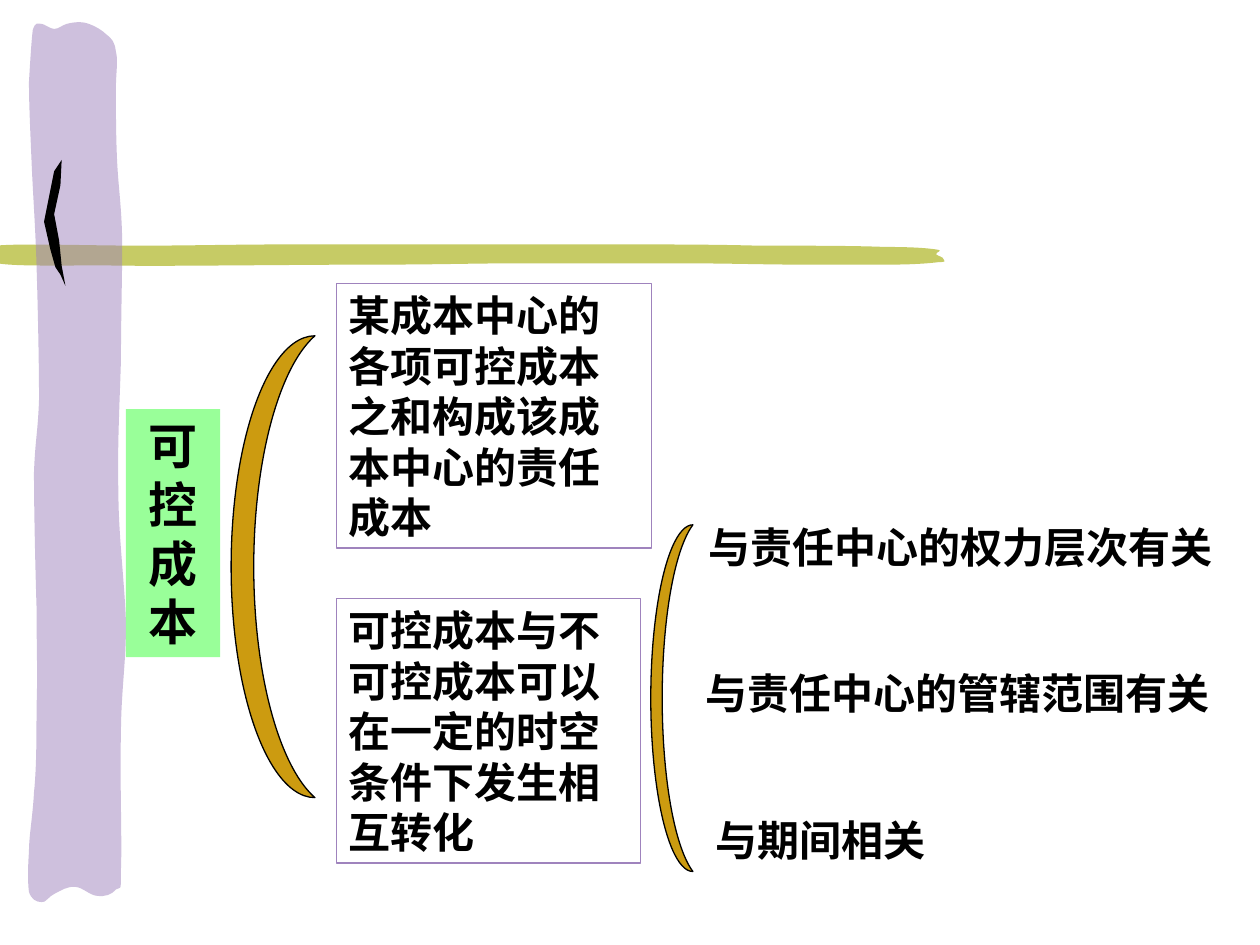
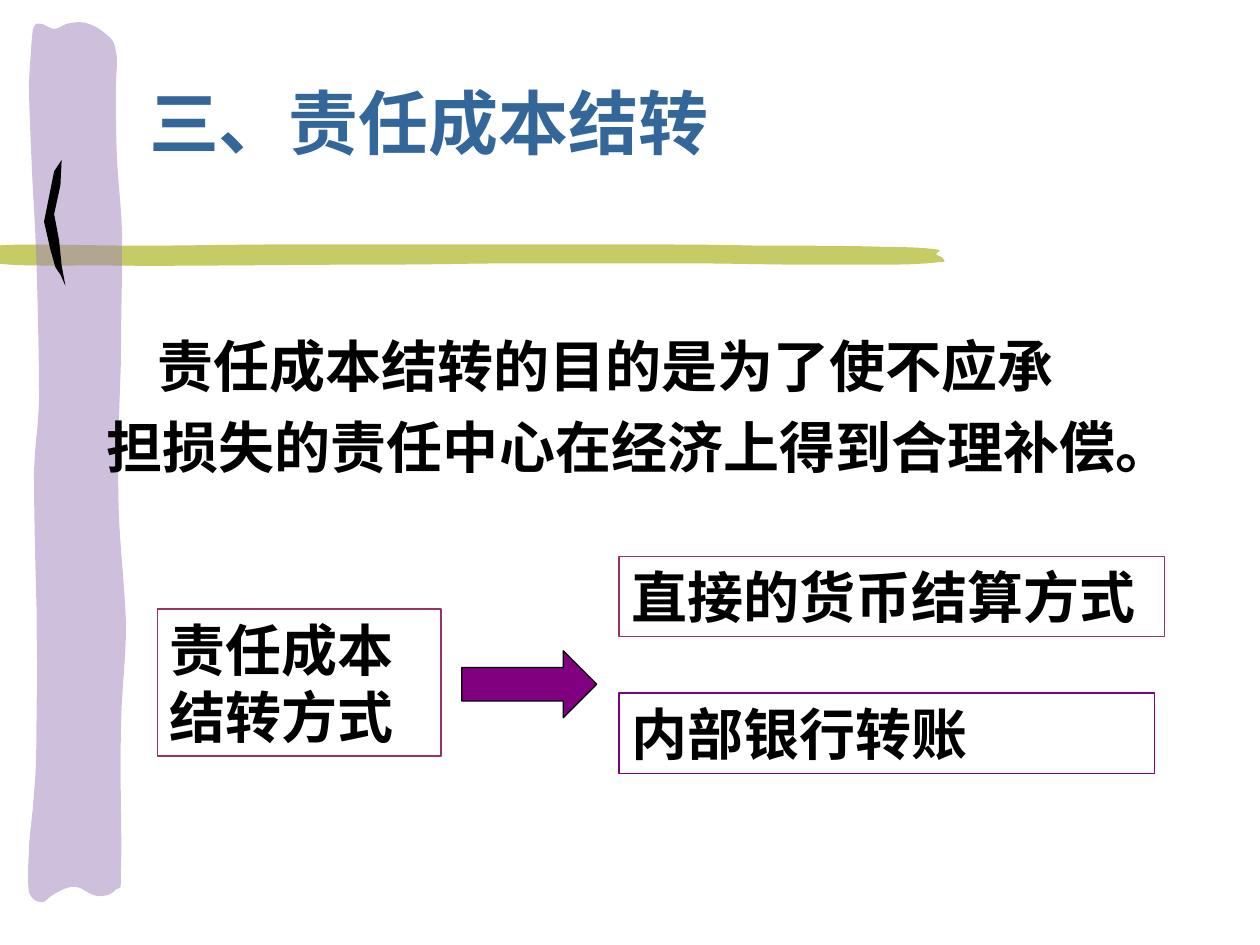
from dataclasses import dataclass

from lxml import etree
from pptx import Presentation
from pptx.dml.color import RGBColor
from pptx.enum.shapes import MSO_SHAPE
from pptx.enum.text import MSO_ANCHOR, MSO_AUTO_SIZE, PP_ALIGN
from pptx.oxml.ns import qn
from pptx.util import Cm, Pt

MOON, RIGHT_ARROW = MSO_SHAPE.MOON, MSO_SHAPE.RIGHT_ARROW
LEFT, CENTER = PP_ALIGN.LEFT, PP_ALIGN.CENTER
MIDDLE = MSO_ANCHOR.MIDDLE
FIT_SHAPE, NO_FIT = MSO_AUTO_SIZE.SHAPE_TO_FIT_TEXT, MSO_AUTO_SIZE.NONE
TITLE_AND_BODY, BLANK = 1, 6


@dataclass(frozen=True)
class Theme:
    ink: str = "000000"
    paper: str = "FFFFFF"
    title: str = "336699"
    olive: str = "C6CB65"
    lilac: str = "9F83BD"
    green: str = "99FF99"
    gold: str = "CC9B10"
    plum: str = "993366"
    purple: str = "800080"
    font: str = "Noto Sans CJK SC"
    latin_font: str = "Comic Neue"
    title_size: int = 40
    large_size: int = 32
    label_size: int = 28
    text_size: int = 24
    line_width: float = 0.75


THEME = Theme()

# Brush outlines in hundredths of an inch: a start point, then rows of
# three points for a curve or one point for a straight line
OUTLINE_UNIT = Cm(2.54) / 100
HORIZONTAL_STROKE = [
    [(601, 195)],
    [(636, 195), (678, 195), (702, 196)], [(725, 196), (736, 197), (743, 198)],
    [(750, 199), (742, 200), (743, 202)], [(744, 203), (749, 204), (749, 206)],
    [(749, 207), (752, 208), (745, 208)], [(738, 209), (724, 210), (706, 210)],
    [(688, 210), (663, 210), (635, 210)], [(608, 210), (577, 209), (541, 209)],
    [(504, 209), (455, 209), (414, 209)], [(374, 209), (349, 210), (298, 210)],
    [(248, 210), (162, 211), (111, 211)], [(61, 210), (16, 212), (-2, 209)],
    [(-3, 195)],
    [(16, 193), (72, 195), (111, 195)], [(151, 195), (185, 194), (232, 194)],
    [(278, 194), (348, 194), (391, 194)], [(434, 194), (455, 194), (489, 194)],
    [(524, 194), (566, 194), (601, 195)],
]
VERTICAL_STROKE = [
    [(29, 561)],
    [(30, 537), (29, 512), (29, 481)], [(28, 450), (27, 403), (27, 375)],
    [(28, 348), (30, 344), (31, 317)], [(31, 289), (30, 242), (29, 210)],
    [(28, 178), (26, 152), (25, 127)], [(24, 103), (23, 82), (23, 65)],
    [(24, 48), (25, 32), (26, 24)], [(28, 17), (30, 19), (33, 19)],
    [(35, 19), (40, 23), (43, 23)], [(47, 23), (49, 20), (53, 19)],
    [(57, 18), (62, 17), (67, 18)], [(72, 19), (80, 23), (84, 27)],
    [(89, 31), (91, 33), (92, 41)], [(94, 48), (92, 57), (92, 71)],
    [(92, 86), (92, 108), (93, 129)], [(94, 149), (97, 168), (97, 195)],
    [(97, 221), (96, 254), (96, 286)], [(95, 319), (93, 356), (94, 391)],
    [(94, 425), (99, 463), (100, 495)], [(100, 527), (96, 550), (96, 583)],
    [(95, 615), (97, 669), (96, 690)], [(96, 710), (96, 703), (92, 706)],
    [(89, 710), (83, 712), (77, 711)], [(72, 711), (65, 704), (60, 704)],
    [(54, 703), (48, 707), (44, 709)], [(39, 711), (36, 717), (33, 716)],
    [(29, 716), (25, 714), (23, 708)], [(22, 701), (22, 689), (23, 676)],
    [(23, 663), (26, 648), (27, 629)], [(29, 610), (29, 586), (29, 561)],
]
INK_MARK = [[point] for point in (
    (49, 127), (48, 147), (43, 170), (47, 191), (49, 211), (52, 227), (48, 218),
    (44, 212), (40, 198), (35, 176), (39, 156), (43, 136), (49, 127))]


def color(value):
    return RGBColor.from_string(value)


def cm_box(box):
    return [Cm(length) for length in box]


def paint(shape, fill=None, line=None):
    """Give a shape its fill and outline; None leaves either out."""
    if fill:
        shape.fill.solid()
        shape.fill.fore_color.rgb = color(fill)
    else:
        shape.fill.background()
    if line:
        shape.line.color.rgb = color(line)
        shape.line.width = Pt(THEME.line_width)
    else:
        shape.line.fill.background()


def style_paragraph(paragraph, size, ink=THEME.ink, font=THEME.font, align=LEFT):
    paragraph.alignment = align
    paragraph.font.size = Pt(size)
    paragraph.font.bold = True
    paragraph.font.color.rgb = color(ink)
    paragraph.font.name = font
    # East Asian typeface
    defaults = paragraph._p.get_or_add_pPr().find(qn("a:defRPr"))
    etree.SubElement(defaults, qn("a:ea"), typeface=THEME.font)


def add_text(slide, text, box, size, fill=None, line=None, **style):
    shape = slide.shapes.add_textbox(*cm_box(box))
    paint(shape, fill, line)
    frame = shape.text_frame
    frame.word_wrap = True
    frame.auto_size = FIT_SHAPE
    frame.text = text
    style_paragraph(frame.paragraphs[0], size, **style)


def add_preset(slide, kind, box, fill, adjustments):
    shape = slide.shapes.add_shape(kind, *cm_box(box))
    shape.shadow.inherit = False
    paint(shape, fill, THEME.ink)
    for index, value in enumerate(adjustments):
        shape.adjustments[index] = value


def add_bracket(slide, box):
    add_preset(slide, MOON, box, THEME.gold, [0.27])


def bend_segments(shape, segments):
    """Turn each run of three straight lines that stands for a curve into one."""
    lines = iter(list(shape.element.iter(qn("a:lnTo"))))
    for segment in segments:
        steps = [next(lines) for _ in segment]
        if len(steps) == 3:
            curve = etree.Element(qn("a:cubicBezTo"))
            steps[0].addprevious(curve)
            for step in steps:
                curve.append(step[0])
                step.getparent().remove(step)


def add_outline(slide, outline, fill, opacity=100):
    start, *points = [point for segment in outline for point in segment]
    builder = slide.shapes.build_freeform(*start, scale=OUTLINE_UNIT)
    builder.add_line_segments(points, close=True)
    shape = builder.convert_to_shape()
    bend_segments(shape, outline[1:])
    shape.shadow.inherit = False
    paint(shape, fill)
    if opacity < 100:
        fill_color = shape.element.spPr.find(qn("a:solidFill"))[0]
        etree.SubElement(fill_color, qn("a:alpha"), val=str(opacity * 1000))
    return shape


def decorate_master(presentation, slide):
    """Draw the brush strokes on a slide and move them to the slide master."""
    strokes = [
        add_outline(slide, HORIZONTAL_STROKE, THEME.olive),
        add_outline(slide, VERTICAL_STROKE, THEME.lilac, opacity=50),
        add_outline(slide, INK_MARK, THEME.ink),
    ]
    master_tree = presentation.slide_master.shapes.element
    for index, stroke in enumerate(strokes):
        stroke.element.nvSpPr.cNvPr.set("id", str(100 + index))
        master_tree.insert(2 + index, stroke.element)


def fill_placeholder(placeholder, box, lines, size, ink=THEME.ink):
    placeholder.left, placeholder.top, placeholder.width, placeholder.height = cm_box(box)
    frame = placeholder.text_frame
    frame.auto_size = NO_FIT
    frame.text = "\n".join(lines)
    for paragraph in frame.paragraphs:
        style_paragraph(paragraph, size, ink)
    return frame


def build_controllable_cost(slide):
    add_text(slide, "可控成本", (2.54, 8.25, 1.9, 5), THEME.label_size,
             fill=THEME.green, font=THEME.latin_font, align=CENTER)
    add_bracket(slide, (4.66, 6.77, 1.69, 9.31))
    # Two statements
    for text, top, width in (
            ("某成本中心的各项可控成本之和构成该成本中心的责任成本", 5.72, 6.35),
            ("可控成本与不可控成本可以在一定的时空条件下发生相互转化", 12.07, 6.14)):
        add_text(slide, text, (6.78, top, width, 5.33), THEME.text_size, line=THEME.lilac)
    # Conditions of the conversion
    add_bracket(slide, (13.12, 10.58, 0.85, 6.99))
    for text, left, top, width, font in (
            ("与责任中心的权力层次有关", 14.03, 10.39, 10.95, THEME.font),
            ("与责任中心的管辖范围有关", 13.97, 13.34, 10.8, THEME.font),
            ("与期间相关", 14.18, 16.3, 6.14, THEME.latin_font)):
        add_text(slide, text, (left, top, width, 1.27), THEME.text_size, font=font)


def build_cost_transfer(slide):
    title, body = slide.placeholders
    frame = fill_placeholder(title, (2.75, 1.46, 14.43, 1.96), ["三、责任成本结转"],
                             THEME.title_size, THEME.title)
    frame.vertical_anchor = MIDDLE
    frame = fill_placeholder(body, (1.9, 6.56, 22.65, 3.81),
                             ["责任成本结转的目的是为了使不应承",
                              "担损失的责任中心在经济上得到合理补偿。"], THEME.large_size)
    # Plain lines, the first one indented
    for paragraph, indent in zip(frame.paragraphs, (Cm(1.02), 0)):
        paragraph.space_before = Pt(8)
        properties = paragraph._p.get_or_add_pPr()
        properties.set("marL", "0")
        properties.set("indent", str(indent))
        properties.find(qn("a:defRPr")).addprevious(etree.Element(qn("a:buNone")))
    # Transfer methods
    for text, box, line in (
            ("责任成本结转方式", (3.17, 12.28, 5.72, 2.96), THEME.plum),
            ("直接的货币结算方式", (12.48, 11.22, 11, 1.62), THEME.plum),
            ("内部银行转账", (12.48, 13.97, 10.8, 1.62), THEME.purple)):
        add_text(slide, text, box, THEME.large_size, fill=THEME.paper, line=line)
    add_preset(slide, RIGHT_ARROW, (9.31, 13.12, 2.72, 1.35), THEME.purple, [0.5, 0.5])


def main():
    presentation = Presentation()
    presentation.slide_width, presentation.slide_height = Cm(25.4), Cm(19.05)
    layouts = presentation.slide_layouts
    first_slide = presentation.slides.add_slide(layouts[BLANK])
    decorate_master(presentation, first_slide)
    build_controllable_cost(first_slide)
    build_cost_transfer(presentation.slides.add_slide(layouts[TITLE_AND_BODY]))
    presentation.save("out.pptx")


if __name__ == "__main__":
    main()
